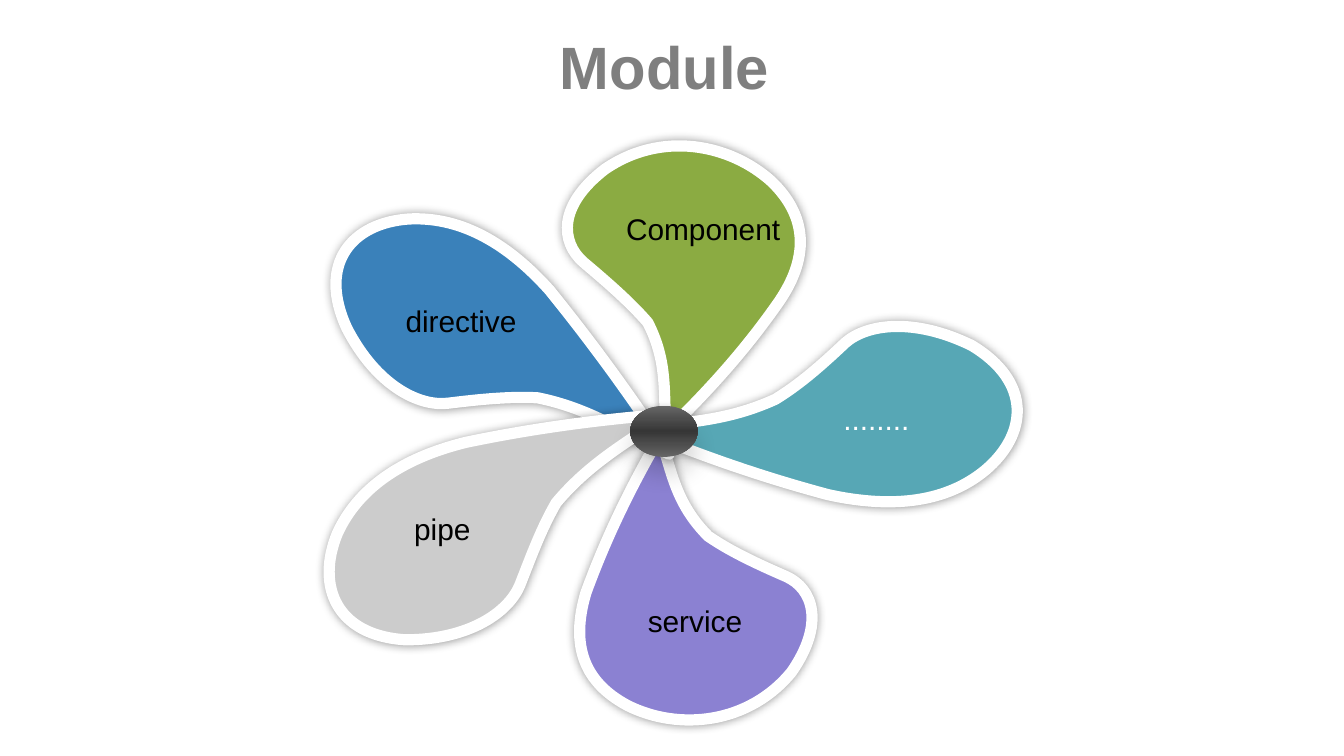
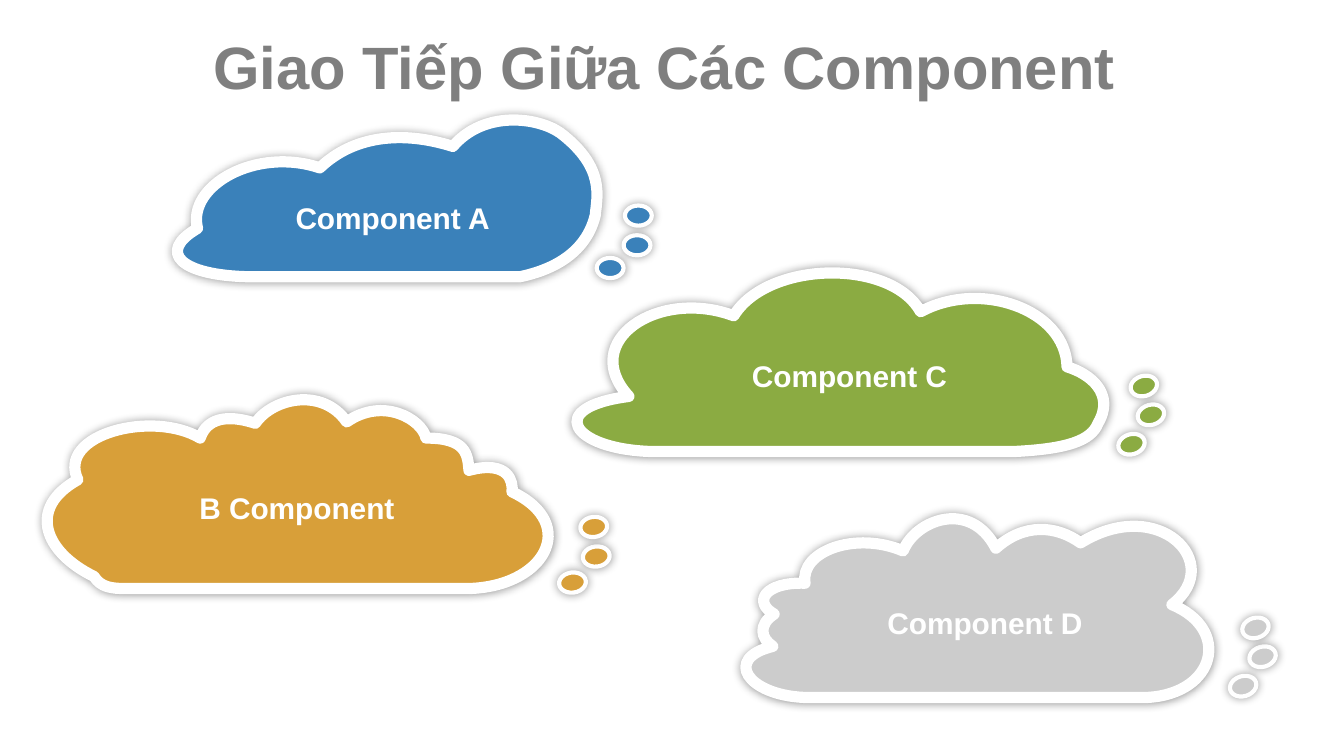
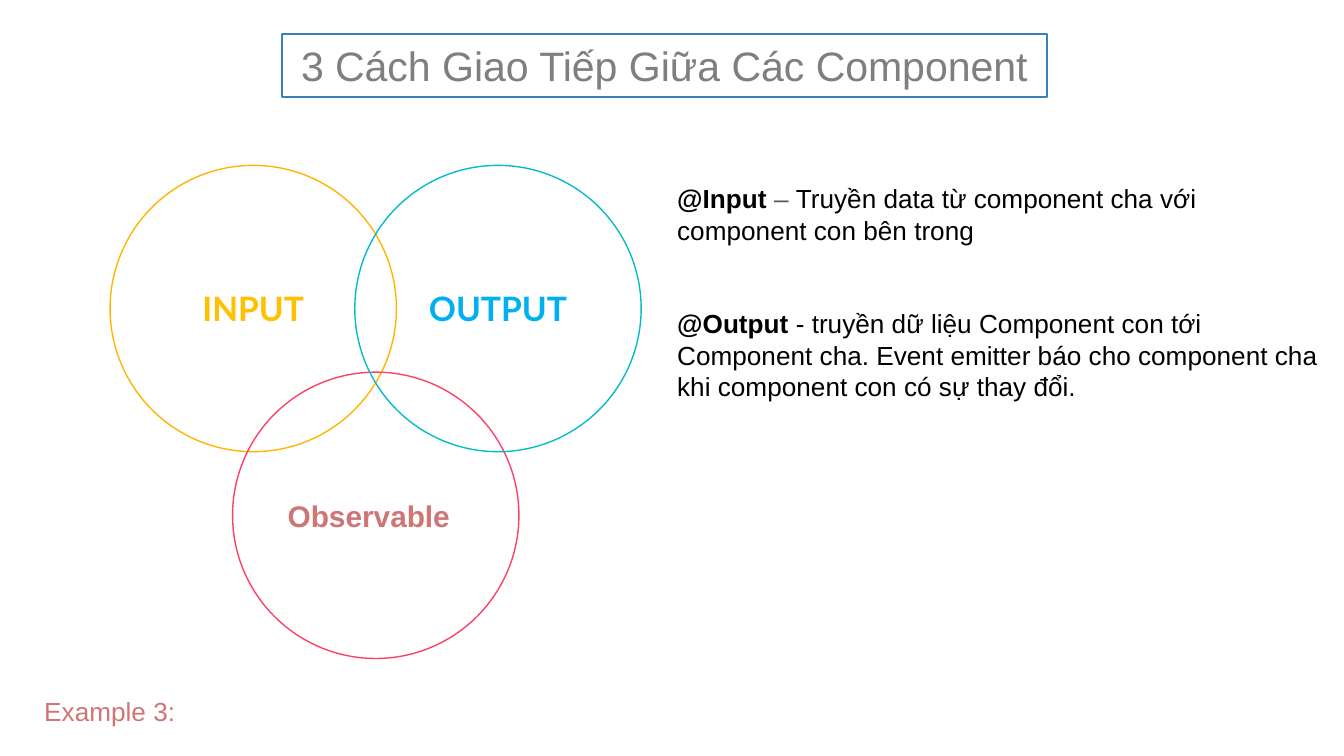
from math import cos, radians, sin

from lxml.etree import SubElement
from pptx import Presentation
from pptx.dml.color import RGBColor
from pptx.enum.shapes import MSO_SHAPE as Kind
from pptx.enum.text import MSO_ANCHOR as Anchor, MSO_AUTO_SIZE as Fit, PP_ALIGN as Align
from pptx.oxml.ns import qn
from pptx.util import Pt

HUES = {
    "white": "FFFFFF", "black": "000000", "title": "7F7F7F", "dash": "595959",
    "blue": "3A81BA", "green": "8BAB42", "gold": "D89F39", "gray": "CCCCCC",
    "violet": "8B81D2", "teal": "57A7B5", "rose": "D07576",
    "amber": "FFB600", "pink": "FC4067", "cyan": "02BDC7",
    "sun": "FFC000", "sky": "00B0F0",
    "rim": "666666", "mid": "4D4D4D", "core": "363636",
}
AXIS = 356      # centre line of the titles
GRID = 0.72     # points per unit of the outlines
DOT = (14.4, 10.8)
TRAIL = [(0, 0), (14.4, -12.2), (15.1, -28.1)]

# fill, box, turn, outline: start point, then three points per curve
PETALS = [
    ("green", (301, 77.8, 125.3, 153.4), 6.2,
     [496, 321, 493, 295, 498, 271, 482, 240, 469, 225, 453, 211, 434, 195,
      417, 180, 415, 153, 450, 126, 492, 97, 543, 107, 574, 135,
      600, 160, 603, 190, 580, 224, 555, 260, 527, 291, 496, 321]),
    ("violet", (306, 232.6, 125.3, 153.4), 350.1,
     [491, 325, 500, 350, 502, 374, 527, 399, 543, 410, 562, 419, 585, 429,
      605, 438, 614, 464, 589, 500, 557, 539, 505, 544, 467, 525,
      435, 508, 424, 481, 436, 441, 451, 400, 469, 363, 491, 325]),
    ("teal", (396, 121, 93.6, 204.5), 267.2,
     [473, 319, 508, 314, 540, 314, 577, 297, 595, 286, 611, 272, 629, 255,
      645, 241, 680, 236, 723, 257, 768, 284, 765, 323, 733, 350,
      705, 373, 666, 379, 616, 368, 564, 354, 519, 338, 473, 319]),
    ("blue", (224.6, 87.1, 93.6, 204.5), 302.6,
     [498, 338, 466, 323, 440, 304, 400, 296, 379, 295, 358, 297, 334, 300,
      312, 303, 280, 287, 258, 244, 236, 196, 262, 166, 304, 163,
      340, 161, 375, 178, 409, 216, 443, 258, 471, 297, 498, 338]),
    ("gray", (222.5, 170.6, 93.6, 204.5), 240.4,
     [497, 308, 469, 328, 440, 343, 414, 374, 403, 393, 396, 412, 387, 435,
      379, 455, 350, 476, 302, 476, 250, 473, 235, 436, 251, 397,
      266, 364, 298, 341, 347, 329, 400, 318, 448, 312, 497, 308]),
]
PARTS = [
    ("Component", 327, 109.4, "black"), ("service", 322.6, 319, "black"),
    ("........", 419.8, 211, "white"), ("pipe", 187.2, 270, "black"),
    ("directive", 197.3, 158.4, "black"),
]

# fill, box, outline with a straight base first
CLOUDS = [
    ("blue", (95, 64.1, 224.6, 84.2),
     [185, 206, 387, 206, 401, 203, 435, 194, 443, 160, 444, 147, 451, 125, 417, 99,
      400, 87, 360, 82, 337, 109, 299, 97, 263, 101, 238, 125,
      191, 109, 139, 138, 147, 170, 116, 188, 135, 205, 185, 206]),
    ("green", (308.9, 146.2, 282.2, 95.3),
     [484, 336, 755, 336, 794, 334, 812, 328, 817, 315, 830, 293, 811, 278, 794, 273,
      793, 230, 729, 208, 685, 232, 663, 192, 571, 194, 546, 235,
      490, 214, 430, 254, 468, 295, 405, 303, 425, 334, 484, 336]),
    ("gold", (25.2, 214.6, 268.6, 100.8),
     [94, 438, 346, 438, 405, 438, 432, 390, 381, 366, 382, 359, 379, 342, 349, 350,
      348, 338, 347, 326, 317, 326, 314, 312, 285, 295, 258, 314,
      240, 288, 203, 296, 190, 315, 175, 310, 155, 308, 149, 326,
      114, 305, 42, 323, 58, 357, 20, 378, 33, 411, 70, 429,
      75, 437, 83, 438, 94, 438]),
    ("gray", (399.6, 278, 248.4, 95.7),
     [598, 519, 854, 519, 905, 516, 916, 468, 872, 450, 912, 419, 862, 368, 804, 404,
      786, 391, 762, 389, 741, 408, 722, 371, 681, 387, 672, 410,
      637, 395, 595, 410, 599, 434, 569, 433, 560, 448, 576, 457,
      564, 465, 566, 475, 575, 481, 538, 490, 556, 517, 598, 519]),
]
TRAILS = [
    ("blue", 319.7, 138.2, 0), ("green", 599, 232.6, -16.3),
    ("gray", 658.8, 362.2, -16.3), ("gold", 299.5, 306.7, -7.3),
]
NAMES = [
    ("Component A", 142.6, 103), ("Component C", 387.4, 188),
    ("Component D", 460, 320.4), ("B Component", 91.4, 258.5),
]

RINGS = [
    ("INPUT", 59, 88.6, "amber", "sun", 18, "Lato", Align.CENTER),
    ("Observable", 124.6, 199.4, "pink", "rose", 16, "Arial", Align.LEFT),
    ("OUTPUT", 190.1, 88.6, "cyan", "sky", 18, "Lato", Align.CENTER),
]
NOTES = [
    (94.3, 41, [("@Input ", "black", True), ("– ", "dash", False),
                ("Truyền data từ component cha với component con bên trong",
                 "black", False)]),
    (161.3, 75, [("@Output ", "black", True),
                 ("- truyền dữ liệu Component con tới Component cha. Event emitter "
                  "báo cho component cha khi component con có sự thay đổi.",
                  "black", False)]),
]


def rgb(hue):
    return RGBColor.from_string(HUES[hue])


def pts(*nums):
    return [Pt(num) for num in nums]


def turn(x, y, angle):
    """Turn a vector clockwise by degrees."""
    a = radians(angle)
    return x * cos(a) - y * sin(a), x * sin(a) + y * cos(a)


def style(run, size, hue, bold=False, face="Arial"):
    font = run.font
    font.name, font.size, font.bold = face, Pt(size), bold
    font.color.rgb = rgb(hue)


def write(shape, text, size, hue, bold=False, face="Arial", align=Align.CENTER):
    frame = shape.text_frame
    frame.text = text
    frame.vertical_anchor = Anchor.MIDDLE
    para = frame.paragraphs[0]
    para.alignment = align
    style(para.runs[0], size, hue, bold, face)


def label(slide, text, box, size, hue, bold=False, wrap=True, align=Align.CENTER):
    shape = slide.shapes.add_textbox(*pts(*box))
    write(shape, text, size, hue, bold, align=align)
    shape.text_frame.word_wrap = wrap
    shape.text_frame.auto_size = Fit.SHAPE_TO_FIT_TEXT


def title(slide, text, wide):
    label(slide, text, (AXIS - wide / 2, 12.2, wide, 46), 32, "title", True, wrap=False)


def shade(shape, alpha, blur, dist=0, way=0):
    shape.shadow.inherit = False
    glow = SubElement(shape._element.spPr.find(qn("a:effectLst")), qn("a:outerShdw"),
                      blurRad=str(Pt(blur)), dist=str(Pt(dist)),
                      dir=str(way * 60000), algn="ctr", rotWithShape="0")
    tone = SubElement(glow, qn("a:srgbClr"), val=HUES["black"])
    SubElement(tone, qn("a:alpha"), val=str(alpha * 1000))


def sticker(shape, fill, edge):
    """Solid fill, white edge and a soft shadow."""
    shape.fill.solid()
    shape.fill.fore_color.rgb = rgb(fill)
    shape.line.color.rgb = rgb("white")
    shape.line.width = Pt(edge)
    shade(shape, 40, 5)


def bend(shape):
    """Make each three lines a curve; a line left over at the start stays."""
    lines = list(shape._element.iter(qn("a:lnTo")))
    lines = lines[len(lines) % 3:]
    for one, two, end in zip(lines[::3], lines[1::3], lines[2::3]):
        one.tag = qn("a:cubicBezTo")
        for line in (two, end):
            one.append(line[0])
            line.getparent().remove(line)


def blob(slide, fill, box, angle, nums):
    """Curved outline, given as it stands on the slide after its turn."""
    x, y, w, h = box
    mx, my = x + w / 2, y + h / 2
    spots = []
    for px, py in zip(nums[::2], nums[1::2]):
        dx, dy = turn(px * GRID - mx, py * GRID - my, -angle)
        spots.append((Pt(mx + dx), Pt(my + dy)))
    pen = slide.shapes.build_freeform(*spots[0], scale=1)
    pen.add_line_segments(spots[1:], close=True)
    shape = pen.convert_to_shape()
    bend(shape)

    # The box holds the curves; their control points may lie outside it.
    dx, dy = shape.left - Pt(x), shape.top - Pt(y)
    for pt in shape._element.iter(qn("a:pt")):
        pt.set("x", str(int(pt.get("x")) + dx))
        pt.set("y", str(int(pt.get("y")) + dy))
    area = next(shape._element.iter(qn("a:path")))
    area.set("w", str(Pt(w)))
    area.set("h", str(Pt(h)))
    shape.left, shape.top, shape.width, shape.height = pts(*box)
    shape.rotation = angle
    sticker(shape, fill, 6)
    SubElement(shape._element.spPr.find(qn("a:ln")), qn("a:round"))


def hub(slide):
    shape = slide.shapes.add_shape(Kind.OVAL, *pts(337.7, 217.4, 36, 27.4))
    shape.fill.gradient()
    shape.fill.gradient_angle = 90
    stops = next(shape._element.iter(qn("a:gsLst")))
    for stop in list(stops):
        stops.remove(stop)
    for i, hue in enumerate(("rim", "mid", "core", "mid", "rim")):
        stop = SubElement(stops, qn("a:gs"), pos=str(i * 25000))
        SubElement(stop, qn("a:srgbClr"), val=HUES[hue])
    shape.line.fill.background()
    shade(shape, 15, 12, 10, 90)


def trail(slide, fill, x, y, angle):
    group = slide.shapes.add_group_shape()
    for step in TRAIL:
        dx, dy = turn(*step, angle)
        dot = group.shapes.add_shape(Kind.OVAL, *pts(x + dx, y + dy, *DOT))
        dot.rotation = angle
        sticker(dot, fill, 2.25)


def frame(slide, kind, box, hue, width):
    """Unfilled shape with a coloured line."""
    shape = slide.shapes.add_shape(kind, *pts(*box))
    shape.shadow.inherit = False
    shape.fill.background()
    shape.line.color.rgb = rgb(hue)
    shape.line.width = Pt(width)
    return shape


def ring(slide, text, x, y, edge, hue, size, face, align):
    shape = frame(slide, Kind.OVAL, (x, y, 153.4, 153.4), edge, 0.75)
    write(shape, text, size, hue, True, face, align)
    text = shape.text_frame
    text.margin_left = text.margin_right = Pt(7.2)
    text.margin_top = text.margin_bottom = Pt(7.2)


def note(slide, y, high, parts):
    text = slide.shapes.add_textbox(*pts(355.7, y, 360, high)).text_frame
    text.word_wrap = True
    text.auto_size = Fit.SHAPE_TO_FIT_TEXT
    for words, hue, bold in parts:
        run = text.paragraphs[0].add_run()
        run.text = words
        style(run, 14, hue, bold)


def flower(slide):
    title(slide, "Module", 127.4)
    for petal in PETALS:
        blob(slide, *petal)
    hub(slide)
    for text, x, y, hue in PARTS:
        label(slide, text, (x, y, 99.4, 26.6), 16, hue)


def sky(slide):
    title(slide, "Giao Tiếp Giữa Các Component", 501.8)
    for fill, box, nums in CLOUDS:
        blob(slide, fill, box, 0, nums)
    for dots in TRAILS:
        trail(slide, *dots)
    for text, x, y in NAMES:
        label(slide, text, (x, y, 135.4, 26.6), 16, "white", True)


def ways(slide):
    head = frame(slide, Kind.RECTANGLE, (AXIS - 205, 18, 410, 34), "blue", 1)
    write(head, "3 Cách Giao Tiếp Giữa Các Component", 22, "title")
    head.text_frame.word_wrap = False
    head.text_frame.auto_size = Fit.SHAPE_TO_FIT_TEXT
    for item in RINGS:
        ring(slide, *item)
    for item in NOTES:
        note(slide, *item)
    label(slide, "Example 3:", (16.6, 368.6, 85, 24.5), 14, "rose",
          wrap=False, align=Align.LEFT)


def main():
    deck = Presentation()
    deck.slide_width, deck.slide_height = pts(720, 405)
    for draw in (flower, sky, ways):
        draw(deck.slides.add_slide(deck.slide_layouts[6]))
    deck.save("out.pptx")


if __name__ == "__main__":
    main()
